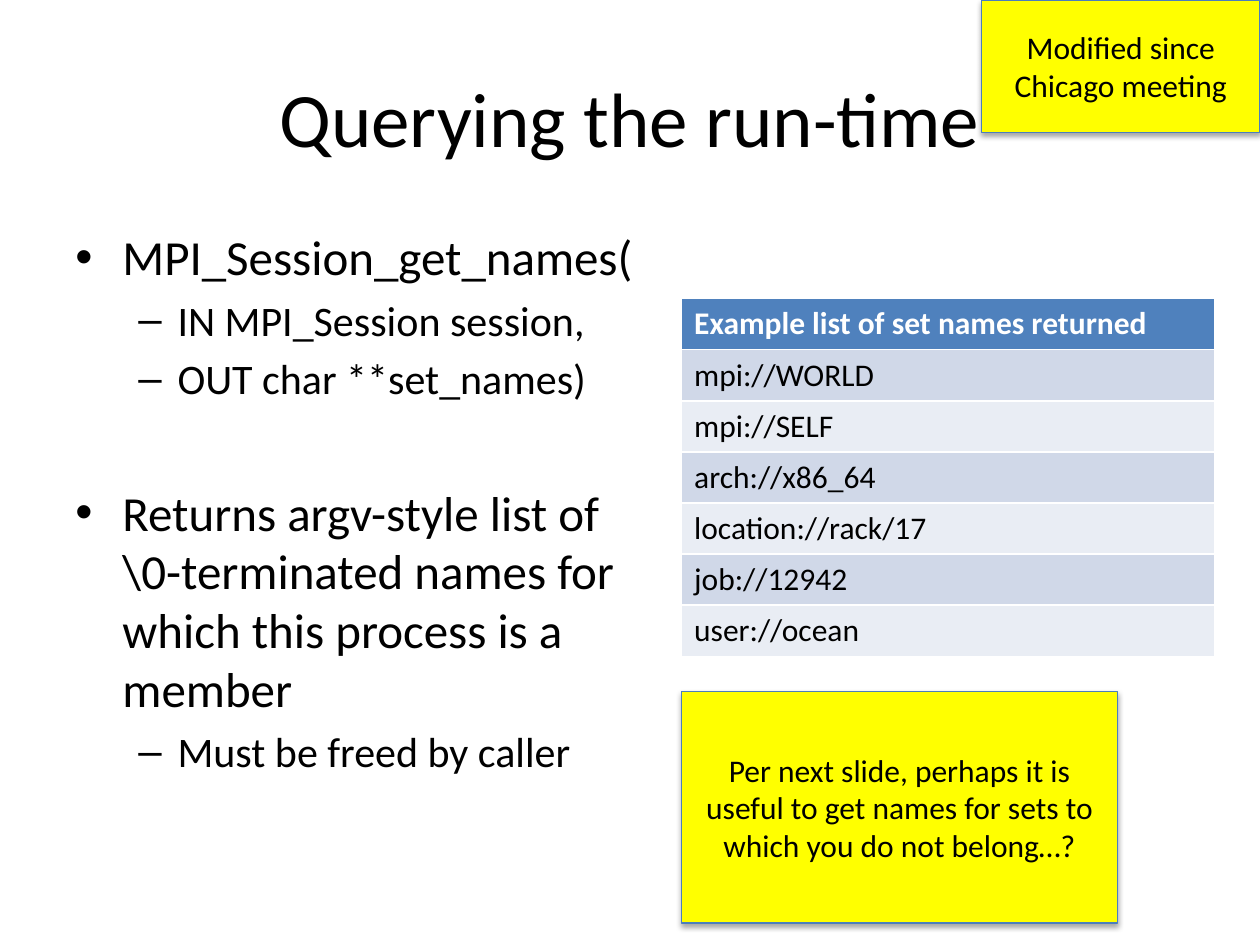
import pptx
import pptx.util
import pptx.oxml
import pptx.oxml.ns
import pptx.dml.color
import pptx.enum.text
import pptx.enum.shapes

Cm, Pt = pptx.util.Cm, pptx.util.Pt
CENTER = pptx.enum.text.PP_ALIGN.CENTER
MIDDLE = pptx.enum.text.MSO_ANCHOR.MIDDLE
NS = pptx.oxml.ns.nsdecls("a")


def color(code):
    return pptx.dml.color.RGBColor.from_string(code)


def write(para, text, size, code="000000", bold=False):
    run = para.add_run()
    run.text = text
    look = {"name": "Calibri", "size": Pt(size), "bold": bold}
    for key, val in look.items():
        setattr(run.font, key, val)
    run.font.color.rgb = color(code)


deck = pptx.Presentation()
deck.slide_width, deck.slide_height = Cm(25.4), Cm(19.05)
slide = deck.slides.add_slide(deck.slide_layouts[5])

# Title
title = slide.shapes.title
place = {"left": Cm(1.27), "top": Cm(0.76), "width": Cm(22.86), "height": Cm(3.18)}
for key, val in place.items():
    setattr(title, key, val)
title.text_frame.vertical_anchor = MIDDLE
head = title.text_frame.paragraphs[0]
head.alignment = CENTER
write(head, "Querying the run-time", 44)

# Bullet list: level, space before in points, text
items = [
    (0, 0, "MPI_Session_get_names("),
    (1, 4.8, "IN MPI_Session session,"),
    (1, 4.8, "OUT char **set_names)"),
    (0, 45, "Returns argv-style list of \\0-terminated names for which this process is a member"),
    (1, 4.8, "Must be freed by caller"),
]
# Per level: bullet, text size, left margin, hanging indent
levels = [("•", 28, Cm(0.95), Cm(-0.95)), ("–", 24, Cm(2.06), Cm(-0.79))]
body = slide.shapes.add_textbox(Cm(1.27), Cm(4.45), Cm(12.32), Cm(12.57)).text_frame
body.word_wrap = True
for i, (level, gap, text) in enumerate(items):
    para = body.paragraphs[0] if i == 0 else body.add_paragraph()
    mark, size, left, hang = levels[level]
    para.level = level
    props = para._p.get_or_add_pPr()
    props.set("marL", str(left))
    props.set("indent", str(hang))
    for tag in (f'<a:buFont {NS} typeface="Arial"/>', f'<a:buChar {NS} char="{mark}"/>'):
        props.append(pptx.oxml.parse_xml(tag))
    para.space_before = Pt(gap)
    write(para, text, size)

# Table of set names
names = [
    "Example list of set names returned",
    "mpi://WORLD",
    "mpi://SELF",
    "arch://x86_64",
    "location://rack/17",
    "job://12942",
    "user://ocean",
]
table = slide.shapes.add_table(
    len(names), 1, Cm(13.74), Cm(6.02), Cm(10.74), Cm(1.03 * len(names))
).table
for i, name in enumerate(names):
    cell = table.cell(i, 0)
    cell.fill.solid()
    if i == 0:
        fill, ink = "4F81BD", "FFFFFF"
    else:
        fill, ink = ("D0D8E8" if i % 2 else "E9EDF4"), "000000"
    cell.fill.fore_color.rgb = color(fill)
    write(cell.text_frame.paragraphs[0], name, 18, ink, i == 0)

# Yellow notes
notes = [
    (19.79, 0, 5.61, 2.67, "Modified since Chicago meeting"),
    (13.74, 13.94, 8.79, 4.67,
     "Per next slide, perhaps it is useful to get names for sets to which you do not belong…?"),
]
shade = (
    f'<a:outerShdw {NS} blurRad="{Pt(3.1)}" dist="{Pt(1.8)}" dir="5400000" rotWithShape="0">'
    '<a:srgbClr val="000000"><a:alpha val="35000"/></a:srgbClr></a:outerShdw>'
)
for left, top, width, height, text in notes:
    note = slide.shapes.add_shape(
        pptx.enum.shapes.MSO_SHAPE.RECTANGLE, Cm(left), Cm(top), Cm(width), Cm(height)
    )
    note.fill.solid()
    note.fill.fore_color.rgb = color("FFFF00")
    note.line.color.rgb = color("4B7EBC")
    note.line.width = Pt(0.75)
    note.shadow.inherit = False
    effects = note._element.spPr.find(pptx.oxml.ns.qn("a:effectLst"))
    effects.append(pptx.oxml.parse_xml(shade))
    note.text_frame.word_wrap = True
    note.text_frame.vertical_anchor = MIDDLE
    para = note.text_frame.paragraphs[0]
    para.alignment = CENTER
    write(para, text, 18)

deck.save("out.pptx")
